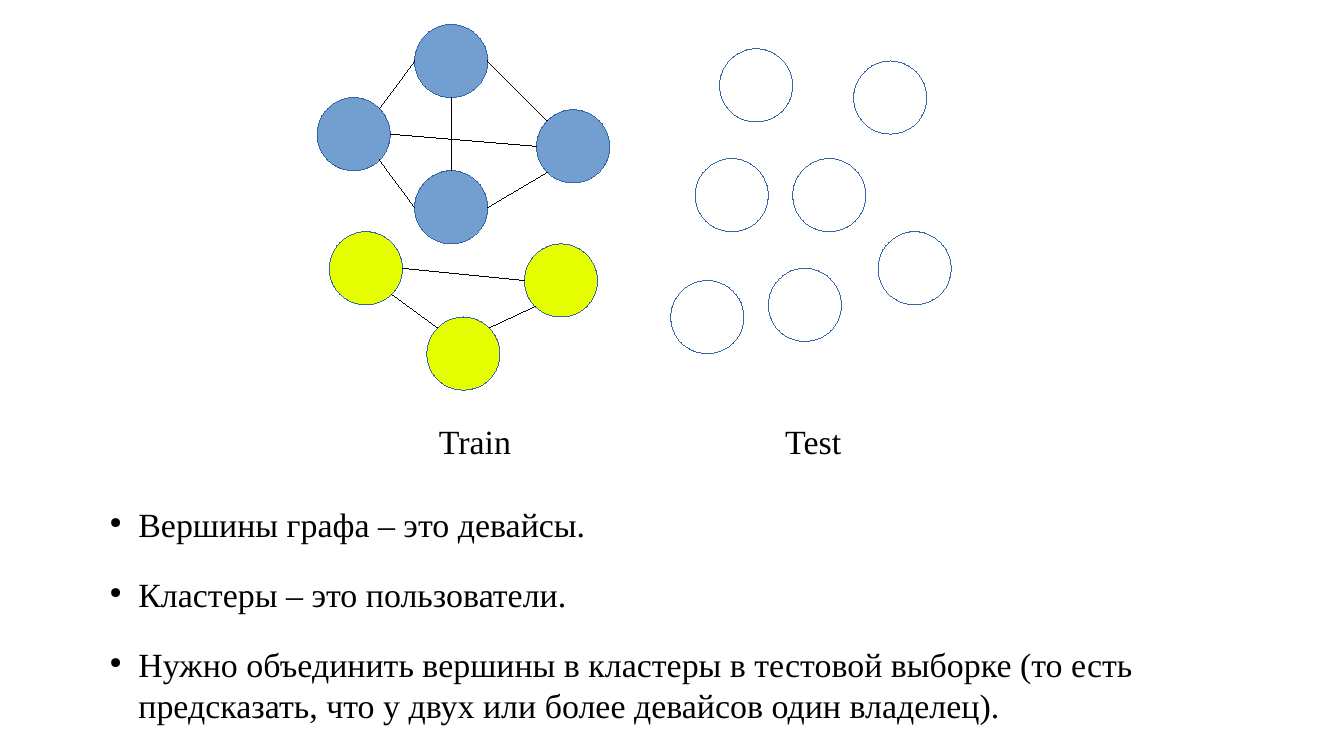
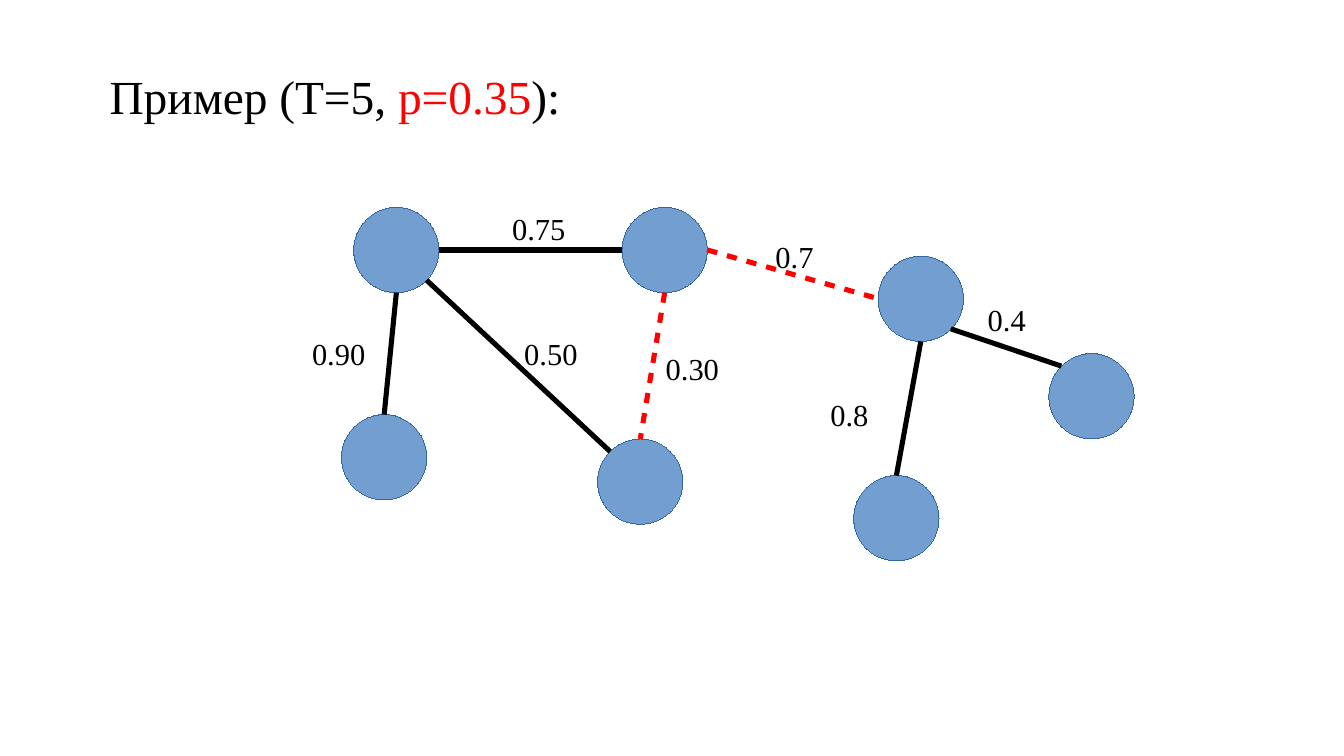
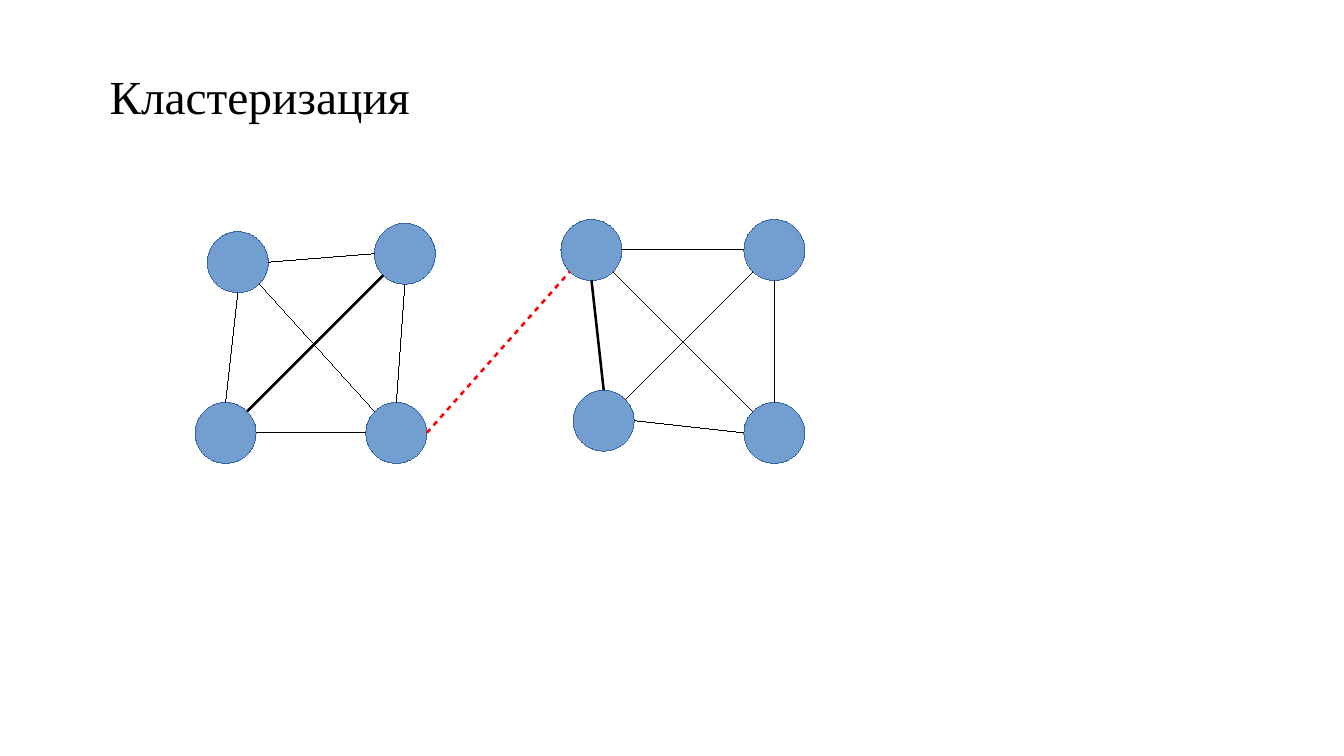
from lxml import etree
from pptx import Presentation
from pptx.dml.color import RGBColor
from pptx.enum.shapes import MSO_CONNECTOR as CONN, MSO_SHAPE as SHAPE
from pptx.enum.text import MSO_AUTO_SIZE as FIT
from pptx.oxml.ns import qn
from pptx.util import Pt

BLACK = RGBColor(0x00, 0x00, 0x00)
WHITE = RGBColor(0xFF, 0xFF, 0xFF)
RED = RGBColor(0xFF, 0x00, 0x00)
BLUE = RGBColor(0x72, 0x9F, 0xCF)
OUTLINE = RGBColor(0x34, 0x65, 0xA4)
YELLOW = RGBColor(0xE6, 0xFF, 0x00)

FONT = "Times New Roman"
HAIRLINE = 0.01
DIAGONAL = 0.5 ** 0.5
SITES = {
    "N": (0, -1), "S": (0, 1), "W": (-1, 0), "E": (1, 0),
    "NW": (-DIAGONAL, -DIAGONAL), "NE": (DIAGONAL, -DIAGONAL),
    "SW": (-DIAGONAL, DIAGONAL), "SE": (DIAGONAL, DIAGONAL),
}


class Deck:
    def __init__(self):
        self.prs = Presentation()
        self.prs.slide_width = Pt(793.44)
        self.prs.slide_height = Pt(446.4)
        self.s = None
        self.diameter = 0

    def slide(self, diameter):
        self.s = self.prs.slides.add_slide(self.prs.slide_layouts[6])
        self.diameter = diameter

    def text(self, x, y, w, h, paragraphs, size, wrap=False):
        sp = self.s.shapes.add_textbox(Pt(x), Pt(y), Pt(w), Pt(h))
        tf = sp.text_frame
        tf.word_wrap = wrap
        tf.auto_size = FIT.SHAPE_TO_FIT_TEXT
        for i, runs in enumerate(paragraphs):
            p = tf.add_paragraph() if i else tf.paragraphs[0]
            for words, color in runs:
                r = p.add_run()
                r.text = words
                r.font.name = FONT
                r.font.size = Pt(size)
                r.font.color.rgb = color
        return tf

    def title(self, w, *runs):
        self.text(57.6, 36, w, 38.2, [runs], 28)

    def label(self, x, y, w, h, words, size):
        self.text(x, y, w, h, [[(words, BLACK)]], size)

    def bullets(self, x, y, w, h, items):
        tf = self.text(x, y, w, h, [[(t, BLACK)] for t in items], 20, wrap=True)
        for i, p in enumerate(tf.paragraphs):
            pPr = p._p.get_or_add_pPr()
            pPr.set("marL", str(Pt(17)))
            pPr.set("indent", str(-Pt(17)))
            color = etree.SubElement(pPr, qn("a:buClr"))
            etree.SubElement(color, qn("a:srgbClr"), val=str(BLACK))
            etree.SubElement(pPr, qn("a:buSzPct"), val="45000")
            etree.SubElement(pPr, qn("a:buChar"), char="●")
            p.space_before = Pt(8.7 if i else 0)
            p.space_after = Pt(8.7)

    def nodes(self, places, fill=BLUE):
        d = Pt(self.diameter)
        for x, y in places:
            sp = self.s.shapes.add_shape(SHAPE.OVAL, Pt(x), Pt(y), d, d)
            sp.shadow.inherit = False
            sp.fill.solid()
            sp.fill.fore_color.rgb = fill
            sp.line.color.rgb = OUTLINE
            sp.line.width = Pt(HAIRLINE)

    def site(self, place, name):
        radius = self.diameter / 2
        return [Pt(v + radius * (1 + d)) for v, d in zip(place, SITES[name])]

    def edge(self, start, start_site, end, end_site, width=HAIRLINE, cut=False):
        sp = self.s.shapes.add_connector(
            CONN.STRAIGHT, *self.site(start, start_site), *self.site(end, end_site))
        sp.line.color.rgb = RED if cut else BLACK
        sp.line.width = Pt(width)
        spPr = sp._element.spPr
        if cut:
            dash = etree.SubElement(spPr.find(qn("a:ln")), qn("a:custDash"))
            etree.SubElement(dash, qn("a:ds"), d="200000", sp="200000")
        etree.SubElement(spPr, qn("a:effectLst"))

    def edges(self, places, links, width=HAIRLINE, cut=False):
        for start, start_site, end, end_site in links:
            self.edge(places[start], start_site, places[end], end_site, width, cut)


def train_and_test(deck):
    deck.slide(43.2)
    first_user = {"left": (187.2, 57.6), "bottom": (244.8, 100.8),
                  "right": (316.8, 64.8), "top": (244.8, 14.4)}
    second_user = {"left": (194.4, 136.8), "bottom": (252, 187.2),
                   "right": (309.6, 144)}
    test = [(424.8, 28.8), (410.4, 93.6), (468, 93.6), (504, 36),
            (396, 165.6), (453.6, 158.4), (518.4, 136.8)]
    deck.nodes(first_user.values())
    deck.nodes(second_user.values(), YELLOW)
    deck.nodes(test, WHITE)
    deck.edges(second_user, [
        ("left", "E", "right", "W"),
        ("right", "SW", "bottom", "NE"),
        ("left", "SE", "bottom", "NW"),
    ])
    deck.edges(first_user, [
        ("bottom", "E", "right", "SW"),
        ("top", "E", "right", "NW"),
        ("left", "NE", "top", "W"),
        ("left", "SE", "bottom", "W"),
        ("top", "S", "bottom", "N"),
        ("left", "E", "right", "W"),
    ])
    deck.label(252, 244.8, 56.9, 29.5, "Train", 20)
    deck.label(456.5, 244.8, 47.5, 29.5, "Test", 20)
    deck.bullets(57.6, 293.8, 721.4, 113.8, [
        "Вершины графа – это девайсы.",
        "Кластеры – это пользователи.",
        "Нужно объединить вершины в кластеры в тестовой выборке (то есть "
        "предсказать, что у двух или более девайсов один владелец).",
    ])


def threshold_example(deck):
    deck.slide(50.4)
    deck.title(280.8, ("Пример (T=5, ", BLACK), ("p=0.35", RED), ("):", BLACK))
    graph = {"A": (208.8, 122.4), "B": (367.2, 122.4), "C": (352.8, 259.2),
             "D": (201.6, 244.8), "E": (619.2, 208.8), "F": (504, 280.8),
             "G": (518.4, 151.2)}
    deck.nodes(graph.values())
    deck.edges(graph, [
        ("A", "S", "D", "N"),
        ("A", "SE", "C", "NW"),
        ("A", "E", "B", "W"),
        ("G", "S", "F", "N"),
        ("G", "SE", "E", "NW"),
    ], 3)
    deck.edges(graph, [("B", "S", "C", "N"), ("B", "E", "G", "W")], 3, cut=True)
    weights = [("0.75", 295.2, 120.2), ("0.50", 302.4, 194.4),
               ("0.90", 177.1, 194.4), ("0.30", 385.9, 203),
               ("0.4", 576, 174.2), ("0.8", 483.1, 230.4), ("0.7", 450.7, 136.8)]
    for weight, x, y in weights:
        deck.label(x, y, 46 if len(weight) == 4 else 36.7, 27.4, weight, 18)


def clustering(deck):
    deck.slide(36)
    deck.title(191.5, ("Кластеризация", BLACK))
    left = {"NW": (122.4, 136.8), "NE": (221, 131.8),
            "SW": (115.2, 237.6), "SE": (216, 237.6)}
    right = {"NW": (331.2, 129.6), "NE": (439.2, 129.6),
             "SW": (338.4, 230.4), "SE": (439.2, 237.6)}
    diagonals = [("NW", "SE", "SE", "NW"), ("NE", "SW", "SW", "NE")]
    sides = [("NW", "E", "NE", "W"), ("SW", "E", "SE", "W"),
             ("NE", "S", "SE", "N"), ("NW", "S", "SW", "N")]
    strong_links = [(left, diagonals[1]), (right, sides[3])]
    for cluster, strong in strong_links:
        deck.nodes(cluster.values())
        deck.edges(cluster, [k for k in sides + diagonals if k != strong])
        deck.edges(cluster, [strong], 1.5)
    deck.edge(left["SE"], "E", right["NW"], "SW", 1.5, cut=True)


def main():
    deck = Deck()
    train_and_test(deck)
    threshold_example(deck)
    clustering(deck)
    deck.prs.save("out.pptx")


if __name__ == "__main__":
    main()
